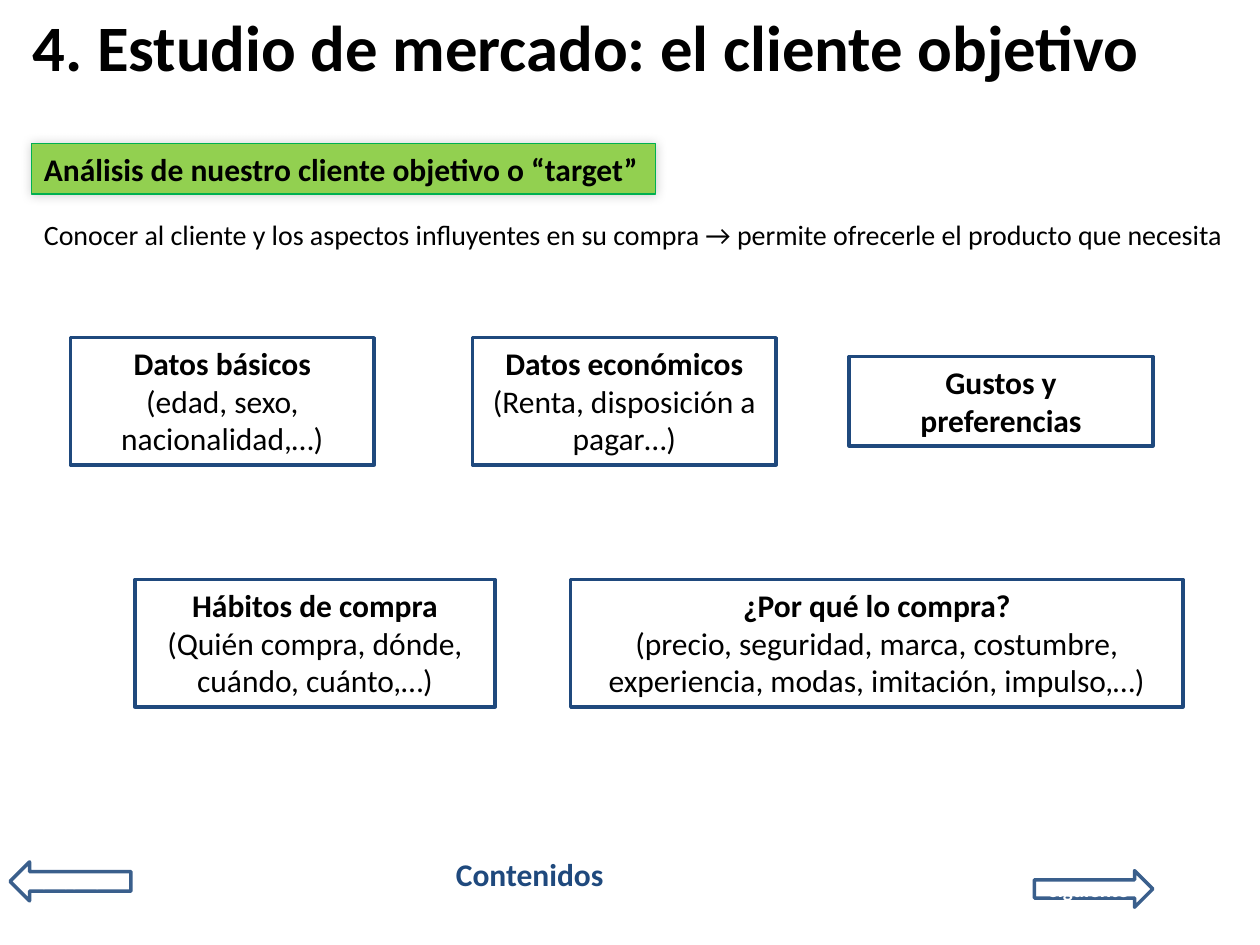
from dataclasses import dataclass
from typing import Optional

from lxml.etree import SubElement
from pptx import Presentation
from pptx.dml.color import RGBColor
from pptx.enum.shapes import MSO_SHAPE
from pptx.enum.text import MSO_ANCHOR, PP_ALIGN
from pptx.oxml.ns import qn
from pptx.shapes.autoshape import Shape
from pptx.slide import Slide
from pptx.util import Inches, Pt

BLACK = RGBColor(0x00, 0x00, 0x00)
WHITE = RGBColor(0xFF, 0xFF, 0xFF)
NAVY = RGBColor(0x1F, 0x49, 0x7D)
ARROW_BLUE = RGBColor(0x3A, 0x5F, 0x8C)
LIME = RGBColor(0x92, 0xD0, 0x50)
GREEN = RGBColor(0x00, 0xB0, 0x50)

FONT = "Calibri"
COLUMNS, ROWS = 100, 75
CELL = Inches(0.1)
CARD_WIDTH = 24.1
UPPER_ROW, LOWER_ROW = 26.8, 46


@dataclass(frozen=True)
class Area:
    """A place on the grid, in columns and rows."""
    column: float
    row: float
    columns: float
    rows: float

    def lengths(self) -> tuple[int, ...]:
        return tuple(round(cells * CELL) for cells in
                     (self.column, self.row, self.columns, self.rows))


@dataclass(frozen=True)
class Style:
    size: int
    color: RGBColor = BLACK
    bold: bool = True
    align: PP_ALIGN = PP_ALIGN.LEFT
    anchor: MSO_ANCHOR = MSO_ANCHOR.TOP


@dataclass(frozen=True)
class Card:
    area: Area
    heading: str
    detail: str = ""


@dataclass(frozen=True)
class Arrow:
    kind: MSO_SHAPE
    area: Area
    label: str


TITLE = Style(37, anchor=MSO_ANCHOR.MIDDLE)
BANNER = Style(18)
SENTENCE = Style(16, bold=False)
CONTENTS = Style(18, NAVY)
CARD = Style(18, align=PP_ALIGN.CENTER)
ARROW = Style(12, WHITE, align=PP_ALIGN.CENTER, anchor=MSO_ANCHOR.MIDDLE)

CARDS = [
    Card(Area(5.6, UPPER_ROW, CARD_WIDTH, 10.1),
         "Datos básicos", "(edad, sexo, nacionalidad,…)"),
    Card(Area(37.5, UPPER_ROW, CARD_WIDTH, 10.1),
         "Datos económicos", "(Renta, disposición a pagar…)"),
    Card(Area(67.4, UPPER_ROW + 1.5, CARD_WIDTH, 7.1),
         "Gustos y preferencias"),
    Card(Area(10.7, LOWER_ROW, 28.6, 10.1),
         "Hábitos de compra", "(Quién compra, dónde, cuándo, cuánto,…)"),
    Card(Area(45.3, LOWER_ROW, 48.6, 10.1), "¿Por qué lo compra?",
         "(precio, seguridad, marca, costumbre, experiencia, modas, "
         "imitación, impulso,…)"),
]

ARROWS = [
    Arrow(MSO_SHAPE.LEFT_ARROW, Area(0.8, 68.4, 9.6, 3.1), "anterior"),
    Arrow(MSO_SHAPE.RIGHT_ARROW, Area(82.1, 69.1, 9.4, 2.9), "siguiente"),
]


def write(box: Shape, text: str, style: Style) -> None:
    """Fill a box with text; paragraphs after the first are never bold."""
    frame = box.text_frame
    frame.text = text
    frame.word_wrap = True
    frame.vertical_anchor = style.anchor
    for index, paragraph in enumerate(frame.paragraphs):
        paragraph.alignment = style.align
        for span in paragraph.runs:
            span.font.name = FONT
            span.font.size = Pt(style.size)
            span.font.bold = style.bold and index == 0
            span.font.color.rgb = style.color


def add_label(page: Slide, area: Area, text: str, style: Style) -> None:
    write(page.shapes.add_textbox(*area.lengths()), text, style)


def add_outlined(page: Slide, kind: MSO_SHAPE, area: Area, line: RGBColor,
                 width: float, fill: Optional[RGBColor] = None) -> Shape:
    shape = page.shapes.add_shape(kind, *area.lengths())
    shape.shadow.inherit = False
    shape.line.color.rgb = line
    shape.line.width = Pt(width)
    if fill is None:
        shape.fill.background()
    else:
        shape.fill.solid()
        shape.fill.fore_color.rgb = fill
    return shape


def add_soft_shadow(shape: Shape) -> None:
    effects = shape.element.spPr.find(qn("a:effectLst"))
    shadow = SubElement(effects, qn("a:outerShdw"), blurRad=str(Pt(6)),
                        dist="0", dir=str(225 * 60000), rotWithShape="0")
    color = SubElement(shadow, qn("a:srgbClr"), val=str(BLACK))
    SubElement(color, qn("a:alpha"), val="20000")


def main() -> None:
    deck = Presentation()
    deck.slide_width, deck.slide_height = COLUMNS * CELL, ROWS * CELL
    page = deck.slides.add_slide(deck.slide_layouts[6])

    # Title
    add_label(page, Area(1.6, 0.5, 93.7, 6.3),
              "4. Estudio de mercado: el cliente objetivo", TITLE)

    # Topic banner and its sentence
    banner = add_outlined(page, MSO_SHAPE.RECTANGLE,
                          Area(2.5, 11.4, 49.5, 4), GREEN, 0.75, LIME)
    add_soft_shadow(banner)
    write(banner, "Análisis de nuestro cliente objetivo o “target”", BANNER)
    add_label(page, Area(2.5, 16.8, 97.2, 3.7),
              "Conocer al cliente y los aspectos influyentes en su compra → "
              "permite ofrecerle el producto que necesita", SENTENCE)

    # Aspects of the customer
    for card in CARDS:
        box = add_outlined(page, MSO_SHAPE.RECTANGLE, card.area, NAVY, 2)
        write(box, "\n".join(filter(None, (card.heading, card.detail))), CARD)

    # Navigation
    add_label(page, Area(35.2, 67.4, 14.4, 4), "Contenidos", CONTENTS)
    for arrow in ARROWS:
        shape = add_outlined(page, arrow.kind, arrow.area, ARROW_BLUE, 2)
        write(shape, arrow.label, ARROW)

    deck.save("out.pptx")


if __name__ == "__main__":
    main()
